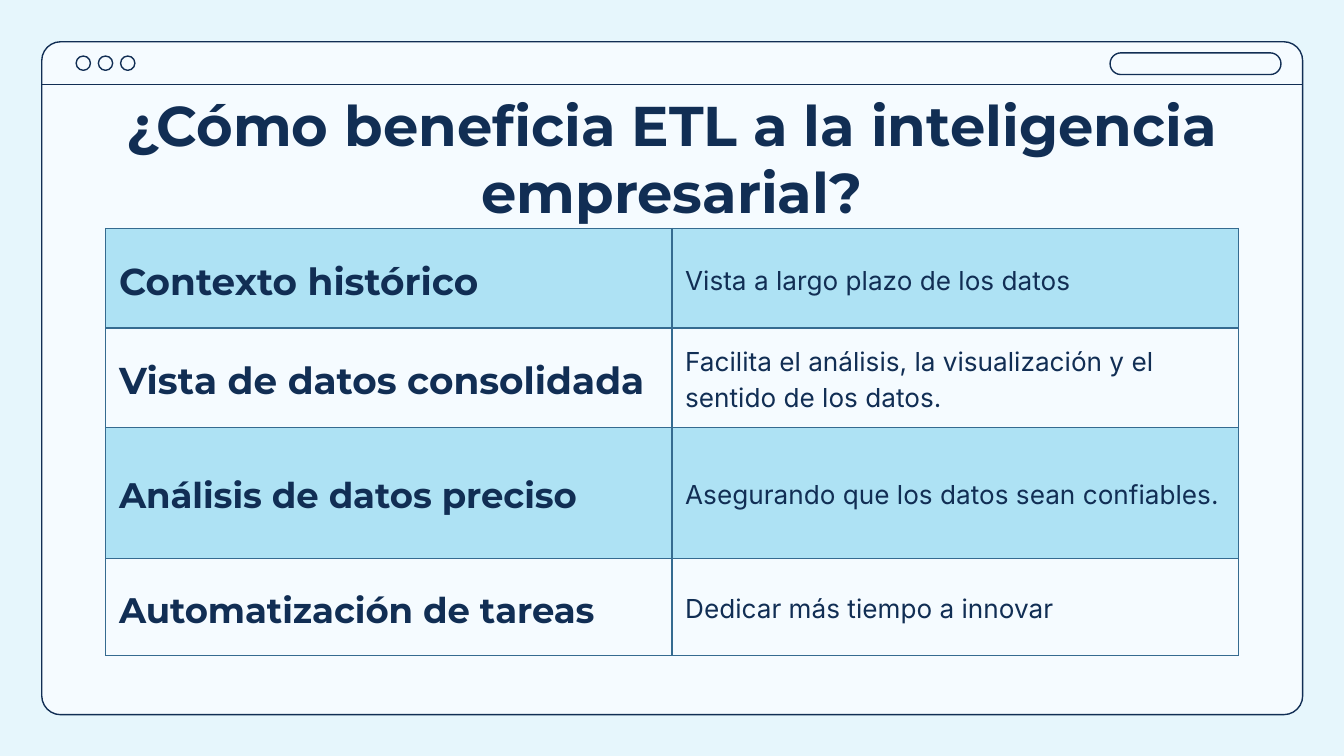
from lxml import etree
from pptx import Presentation
from pptx.dml.color import RGBColor
from pptx.enum.shapes import MSO_CONNECTOR, MSO_SHAPE
from pptx.enum.text import MSO_ANCHOR, PP_ALIGN
from pptx.oxml import parse_xml
from pptx.oxml.ns import nsdecls, qn
from pptx.util import Cm, Pt

ROUNDED = MSO_SHAPE.ROUNDED_RECTANGLE
OVAL = MSO_SHAPE.OVAL
STRAIGHT = MSO_CONNECTOR.STRAIGHT
TOP, MIDDLE = MSO_ANCHOR.TOP, MSO_ANCHOR.MIDDLE
CENTER = PP_ALIGN.CENTER

COLORS = {
    "backdrop": "E6F6FC",
    "window": "F5FBFF",
    "ink": "112E54",
    "band": "AEE2F4",
    "border": "356B90",
}
HEADING_FONT, BODY_FONT = "Montserrat", "Inter"
LINE_WIDTH = Pt(0.75)
INSET = Cm(0.25)

# benefit, explanation, benefit size in points, row height in cm, fill
BENEFITS = [
    ("Contexto histórico", "Vista a largo plazo de los datos", 20, 1.88, "band"),
    ("Vista de datos consolidada",
     "Facilita el análisis, la visualización y el sentido de los datos.", 20, 1.88, None),
    ("Análisis de datos preciso", "Asegurando que los datos sean confiables.", 19, 2.48, "band"),
    ("Automatización de tareas", "Dedicar más tiempo a innovar", 19, 1.83, "window"),
]


def rgb(name):
    return RGBColor.from_string(COLORS[name])


def set_font(paragraph, family, size, bold=False):
    font = paragraph.font
    font.name, font.size, font.bold = family, Pt(size), bold
    font.color.rgb = rgb("ink")


def add_outline(slide, preset, left, top, width, height, fill=None, rounding=None):
    """Add an ink-outlined shape, hollow unless a fill is named."""
    shape = slide.shapes.add_shape(preset, left, top, width, height)
    shape.shadow.inherit = False
    if fill:
        shape.fill.solid()
        shape.fill.fore_color.rgb = rgb(fill)
    else:
        shape.fill.background()
    shape.line.color.rgb = rgb("ink")
    shape.line.width = LINE_WIDTH
    if rounding is not None:
        shape.adjustments[0] = rounding


def add_browser_window(slide, left, top, width, height):
    add_outline(slide, ROUNDED, left, top, width, height, "window", 0.028)
    for i in range(3):
        add_outline(slide, OVAL, left + Cm(0.65 + 0.42 * i), top + Cm(0.27),
                    Cm(0.27), Cm(0.27))
    address_width = Cm(3.23)
    add_outline(slide, ROUNDED, left + width - address_width - Cm(0.41), top + Cm(0.21),
                address_width, Cm(0.41), rounding=0.5)
    bar_bottom = top + Cm(0.81)
    divider = slide.shapes.add_connector(STRAIGHT, left, bar_bottom, left + width, bar_bottom)
    divider.line.color.rgb = rgb("ink")
    divider.line.width = LINE_WIDTH
    etree.SubElement(divider._element.spPr, qn("a:effectLst"))


def add_title(slide, left, top, width, height):
    frame = slide.shapes.add_textbox(left, top, width, height).text_frame
    frame.word_wrap = True
    frame.vertical_anchor = TOP
    frame.margin_left = frame.margin_right = frame.margin_top = frame.margin_bottom = INSET
    title = frame.paragraphs[0]
    title.text = "¿Cómo beneficia ETL a la inteligencia empresarial?"
    title.alignment = CENTER
    set_font(title, HEADING_FONT, 30, bold=True)


def add_borders(cell):
    properties = cell._tc.get_or_add_tcPr()
    for i, side in enumerate(("lnL", "lnR", "lnT", "lnB")):
        properties.insert(i, parse_xml(
            f'<a:{side} {nsdecls("a")} w="{LINE_WIDTH}"><a:solidFill>'
            f'<a:srgbClr val="{COLORS["border"]}"/></a:solidFill></a:{side}>'))


def fill_cell(cell, text, family, size, bold, fill):
    cell.text = text
    cell.vertical_anchor = MIDDLE
    cell.margin_left = cell.margin_right = cell.margin_top = cell.margin_bottom = INSET
    if fill:
        cell.fill.solid()
        cell.fill.fore_color.rgb = rgb(fill)
    else:
        cell.fill.background()
    paragraph = cell.text_frame.paragraphs[0]
    paragraph.line_spacing = 1.15
    set_font(paragraph, family, size, bold)
    add_borders(cell)


def add_benefits_table(slide, left, top, width, height):
    table = slide.shapes.add_table(len(BENEFITS), 2, left, top, width, height).table
    table.first_row = table.horz_banding = False
    for row, (benefit, explanation, size, row_height, fill) in enumerate(BENEFITS):
        table.rows[row].height = Cm(row_height)
        fill_cell(table.cell(row, 0), benefit, HEADING_FONT, size, True, fill)
        fill_cell(table.cell(row, 1), explanation, BODY_FONT, 14, False, fill)


def main():
    presentation = Presentation()
    presentation.slide_width, presentation.slide_height = Cm(25.4), Cm(14.29)
    slide = presentation.slides.add_slide(presentation.slide_layouts[6])
    backdrop = slide.background.fill
    backdrop.solid()
    backdrop.fore_color.rgb = rgb("backdrop")

    content_left, content_width = Cm(2), Cm(21.4)
    add_browser_window(slide, Cm(0.79), Cm(0.79), Cm(23.83), Cm(12.72))
    add_title(slide, content_left, Cm(1.46), content_width, Cm(1.6))
    table_height = Cm(sum(height for _, _, _, height, _ in BENEFITS))
    add_benefits_table(slide, content_left, Cm(4.32), content_width, table_height)
    presentation.save("out.pptx")


if __name__ == "__main__":
    main()
